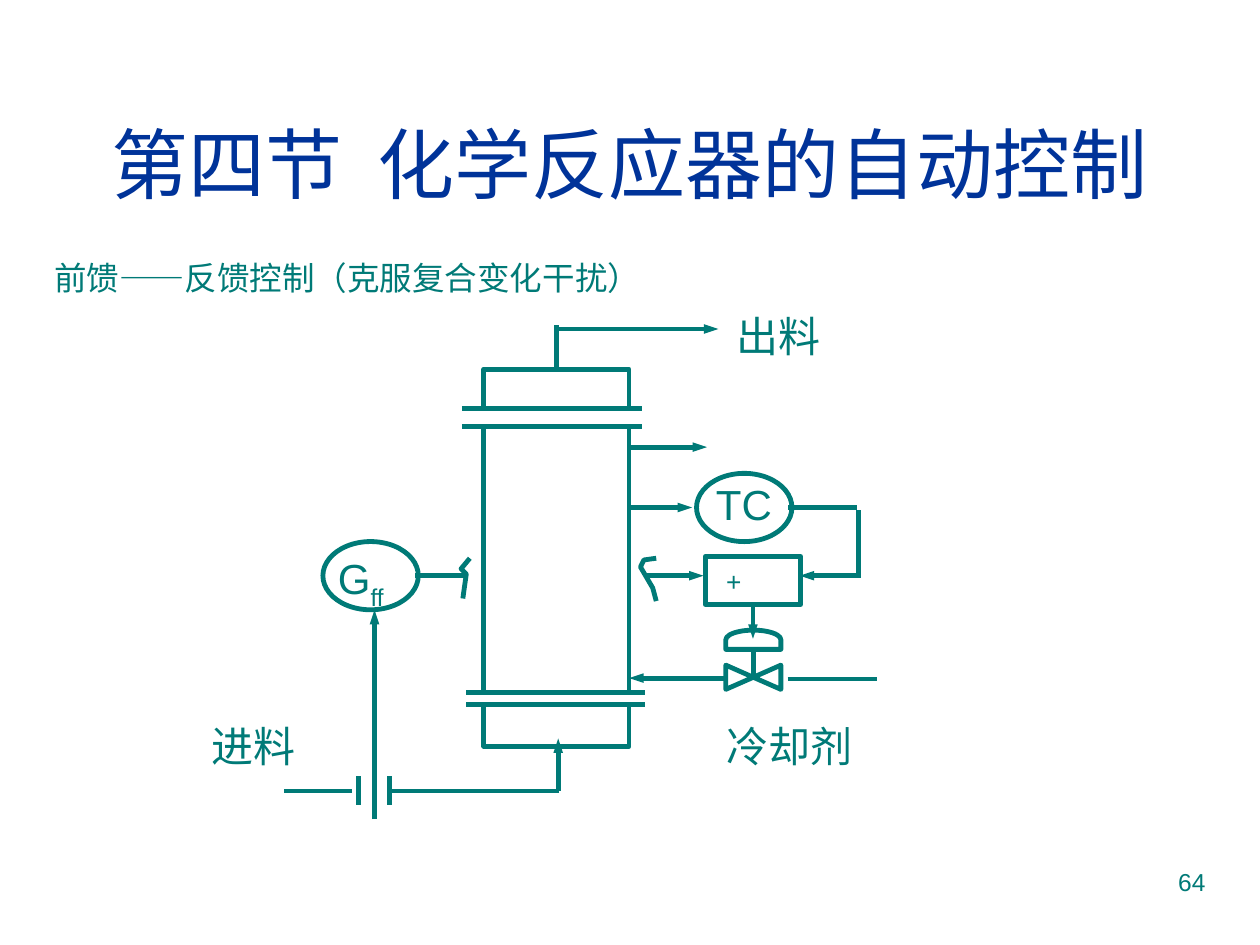
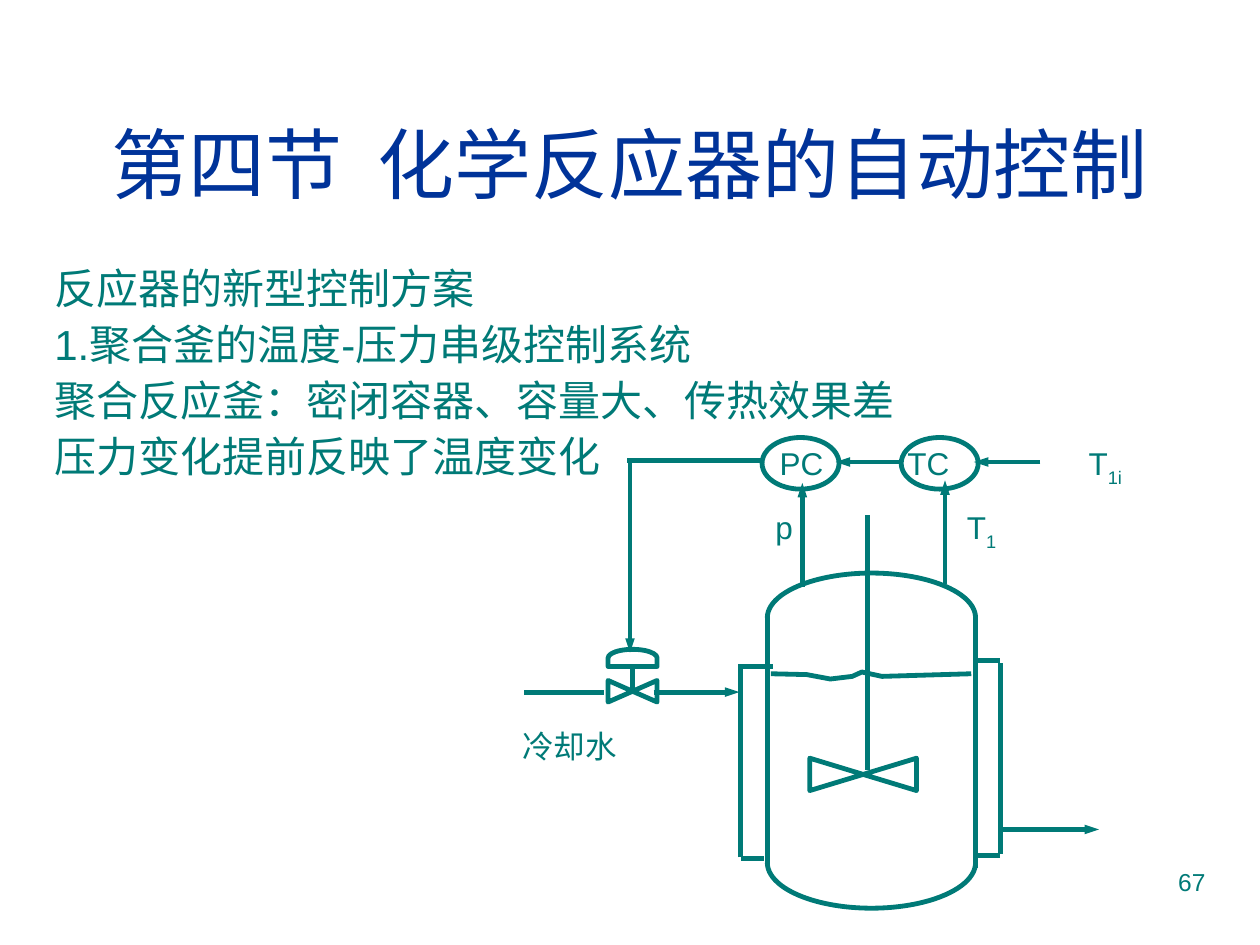
"""Builds two slides on the automatic control of chemical reactors."""
from lxml import etree
from pptx import Presentation
from pptx.dml.color import RGBColor
from pptx.enum.shapes import MSO_CONNECTOR, MSO_SHAPE
from pptx.enum.text import MSO_ANCHOR, MSO_AUTO_SIZE, PP_ALIGN
from pptx.oxml.ns import qn
from pptx.util import Pt

STRAIGHT = MSO_CONNECTOR.STRAIGHT
RECTANGLE, ELLIPSE, ARC = MSO_SHAPE.RECTANGLE, MSO_SHAPE.OVAL, MSO_SHAPE.ARC
VALVE, ACTUATOR = MSO_SHAPE.FLOWCHART_COLLATE, MSO_SHAPE.FLOWCHART_DELAY
LEFT, CENTER, RIGHT = PP_ALIGN.LEFT, PP_ALIGN.CENTER, PP_ALIGN.RIGHT
TOP, MIDDLE = MSO_ANCHOR.TOP, MSO_ANCHOR.MIDDLE
NO_AUTOFIT = MSO_AUTO_SIZE.NONE

COLORS = {"title": "003399", "ink": "007A77"}
FONT = "Arial"
TITLE = "第四节  化学反应器的自动控制"


def write_text(shape, paragraphs, size=18, color="ink", align=LEFT, anchor=TOP,
               line_spacing=1.0, space_before=0, inset=7.2):
    """Fill a shape with paragraphs; an underscore starts a subscript."""
    frame = shape.text_frame
    frame.word_wrap = True
    frame.auto_size = NO_AUTOFIT
    frame.vertical_anchor = anchor
    frame.margin_left, frame.margin_right = Pt(inset), Pt(7.2)
    frame.margin_top = frame.margin_bottom = Pt(3.6)
    for index, text in enumerate(paragraphs):
        para = frame.add_paragraph() if index else frame.paragraphs[0]
        para.alignment = align
        para.line_spacing = line_spacing
        para.space_before = Pt(space_before if index else 0)
        for position, part in enumerate(text.split("_")):
            span = para.add_run()
            span.text = part
            span.font.name = FONT
            span.font.size = Pt(size)
            span.font.color.rgb = RGBColor.from_string(COLORS[color])
            if position:
                span.font._element.set("baseline", "-30000")


def add_box(page, kind, left, top, width, height, turn=0):
    """Add an unfilled preset shape in the diagram's line style."""
    box = page.shapes.add_shape(kind, Pt(left), Pt(top), Pt(width), Pt(height))
    box.rotation = turn
    return box


deck = Presentation()
deck.slide_width, deck.slide_height = Pt(720), Pt(540)

pages = []
for number, body_height, body_format, lines in (
    ("64", 46, {"size": 18.6, "line_spacing": 0.7},
     ["前馈——反馈控制（克服复合变化干扰）"]),
    ("67", 330, {"size": 24, "line_spacing": 0.9, "space_before": 6},
     ["反应器的新型控制方案",
      "1.聚合釜的温度-压力串级控制系统",
      "聚合反应釜：密闭容器、容量大、传热效果差",
      "压力变化提前反映了温度变化"]),
):
    page = deck.slides.add_slide(deck.slide_layouts[5])
    title = page.shapes.title
    title.left, title.top, title.width, title.height = Pt(24), Pt(48), Pt(672), Pt(90)
    write_text(title, [TITLE], size=44, color="title", align=CENTER, anchor=MIDDLE)
    body = page.shapes.add_textbox(Pt(24), Pt(150), Pt(672), Pt(body_height))
    write_text(body, lines, **body_format)
    page_number = page.shapes.add_textbox(Pt(516), Pt(492), Pt(180), Pt(37.5))
    write_text(page_number, [number], size=14, align=RIGHT)
    pages.append(page)
tower_page, kettle_page = pages

tower_left, tower_right, tower_middle = 276.5, 359.5, 318
for top, bottom in ((211, 233.5), (243.5, 395.5), (402.5, 426.5)):
    cap = add_box(tower_page, RECTANGLE, tower_left, top,
                  tower_right - tower_left, bottom - top)
    if top == 211:
        top_cap = cap
adder = add_box(tower_page, RECTANGLE, 403, 318, 54.5, 27.5)
write_text(adder, ["+"], size=15, anchor=MIDDLE, inset=12)
adder_middle = 430.25
signal_y, sensor_y, coolant_y, feed_y = 329, 290, 387.5, 452

vessel_left, vessel_right, vessel_width = 438.5, 557.5, 119
for top, height, start, end in ((327.5, 51, 108, 0), (467, 52, 0, 108)):
    dome = add_box(kettle_page, ARC, vessel_left, top, vessel_width, height)
    dome.adjustments[0], dome.adjustments[1] = start, end
add_box(kettle_page, VALVE, 484, 412, 18.5, 61, 270)
control_y, water_y = 264, 395.5

for page, width, height, places in (
    (tower_page, 54.5, 39, ((184.5, 309.5), (398, 270.5))),
    (kettle_page, 44, 29.5, ((435.5, 250), (515, 250))),
):
    for left, top in places:
        add_box(page, ELLIPSE, left, top, width, height)

for page, middle, center, span in ((tower_page, 430.5, 387, 31.5),
                                   (kettle_page, 361.5, 395, 28)):
    for kind, rise, share in ((VALVE, 0, 0.44), (ACTUATOR, 0.68, 0.35)):
        width = share * span
        add_box(page, kind, middle - width / 2, center - (rise + 0.5) * span,
                width, span, 270)
    page.shapes.add_connector(STRAIGHT, Pt(middle), Pt(center),
                              Pt(middle), Pt(center - span / 2))

flanges = [(y, 264, 367) for y in (233.5, 243.5)]
flanges += [(y, 266.5, 368.5) for y in (395.5, 402.5)]
orifice = [(x, 443.5, 460) for x in (205, 222.5)]
joints = {(tower_middle, 211): (top_cap, 0), (adder_middle, 345.5): (adder, 2)}

for page, across, arrow, runs in (
    (tower_page, True, False, flanges + [
        (feed_y, tower_middle + 1.5, 222.5), (feed_y, 201, 162),
        (signal_y, 265.5, 237), (sensor_y, 489.5, 450.5), (388, 450, 501)]),
    (tower_page, False, False, orifice + [
        (tower_middle, 211, 186), (490.5, 291.5, signal_y)]),
    (tower_page, True, True, [
        (188, 317, 410.5), (255.5, tower_right, 404), (sensor_y, tower_right, 395.5),
        (signal_y, 368.5, 402), (signal_y, 492, 457), (coolant_y, 414.5, tower_right)]),
    (tower_page, False, True, [
        (319, feed_y, 422), (214, 468, 348.5), (adder_middle, 345.5, 365)]),
    (kettle_page, True, False, [
        (381, 422, 441.5), (377.5, vessel_right, 571.5), (490.5, 423.5, 436.5),
        (489, vessel_right, 571.5), (263, 435, 358.5), (water_y, 345, 299.5)]),
    (kettle_page, False, False, [
        (vessel_left, 352, 494), (vessel_right, 352, 496), (423, 490, 380),
        (571.5, 488, 379), (495.5, 440, 294.5)]),
    (kettle_page, True, True, [
        (474, 573, 628), (water_y, 373.5, 422.5),
        (control_y, 515.5, 477.5), (control_y, 594.5, 556.5)]),
    (kettle_page, False, True, [
        (360, 263.5, 373), (458.5, 335.5, 276), (540, 334, 274.5)]),
):
    for level, start, end in runs:
        ends = (start, level, end, level) if across else (level, start, level, end)
        connector = page.shapes.add_connector(STRAIGHT, *[Pt(value) for value in ends])
        if page is tower_page and ends[:2] in joints:
            connector.begin_connect(*joints[ends[:2]])
        if arrow:
            etree.SubElement(connector.line._get_or_add_ln(), qn("a:tailEnd"),
                             type="triangle", w="sm", len="med")

for page, points in (
    (tower_page, [(268.5, 319), (263.5, 325), (266.5, 328), (264.5, 342)]),
    (tower_page, [(375, 319), (368, 320), (366, 324), (373, 336), (375, 343.5)]),
    (kettle_page, [(440.5, 385), (461, 385.5), (474.5, 388), (487, 386.5),
                   (492.5, 384), (504, 386.5), (555, 385)]),
):
    corners = [(Pt(x), Pt(y)) for x, y in points]
    builder = page.shapes.build_freeform(*corners[0])
    builder.add_line_segments(corners[1:], close=False)
    builder.convert_to_shape()

for page in pages:
    for shape in page.shapes:
        is_connector = hasattr(shape, "begin_x")
        if not is_connector and (shape.is_placeholder or shape._element.txBox_is_set
                                 if hasattr(shape._element, "txBox_is_set")
                                 else shape.is_placeholder or shape.name.startswith("TextBox")):
            continue
        shape.line.color.rgb = RGBColor.from_string(COLORS["ink"])
        shape.line.width = Pt(2.75)
        if is_connector:
            etree.SubElement(shape._element.spPr, qn("a:effectLst"))
        else:
            shape.fill.background()
            shape.shadow.inherit = False

for page, size, width, labels in (
    (tower_page, 24, 96, (("G_ff", 186, 312), ("TC", 402, 270), ("进料", 114, 408),
                          ("出料", 414, 174), ("冷却剂", 408, 408))),
    (kettle_page, 18, 80, (("PC", 438.5, 250), ("TC", 511.5, 250), ("T_1i", 615, 250),
                           ("p", 436, 286.5), ("T_1", 545.5, 286.5),
                           ("冷却水", 291.5, 412))),
):
    for text, left, top in labels:
        label = page.shapes.add_textbox(Pt(left), Pt(top), Pt(width), Pt(size * 1.5))
        write_text(label, [text], size=size)

deck.save("out.pptx")
